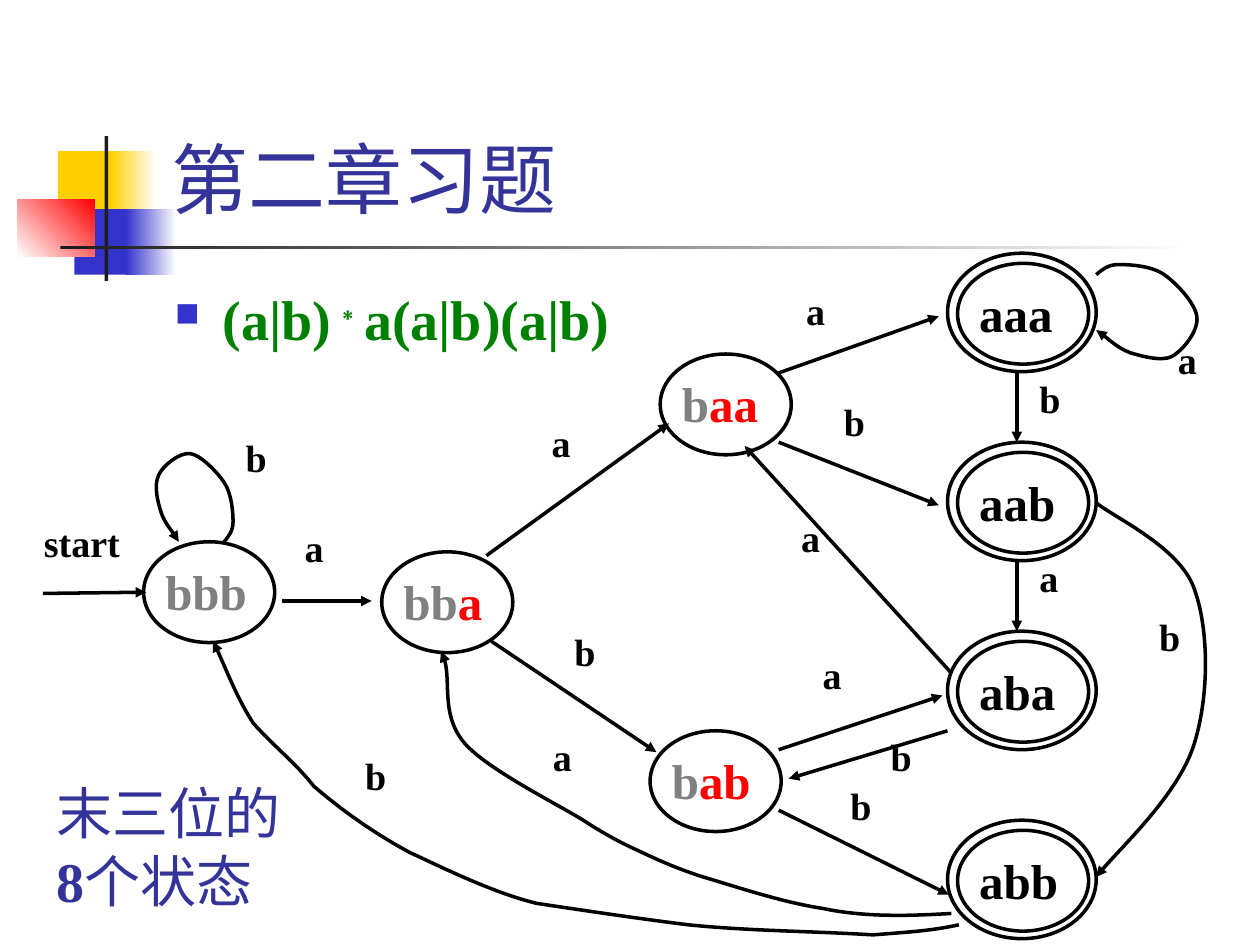
from lxml import etree
from pptx import Presentation
from pptx import util as u
from pptx.dml.color import RGBColor
from pptx.enum import shapes, text
from pptx.oxml.ns import qn

YELLOW = RGBColor(0xFF, 0xCF, 0x01)
BLUE = RGBColor(0x33, 0x33, 0xCC)
NAVY = RGBColor(0x33, 0x33, 0x99)
RED = RGBColor(0xFF, 0x00, 0x00)
GREEN = RGBColor(0x00, 0x80, 0x00)
GRAY = RGBColor(0x80, 0x80, 0x80)
DARK = RGBColor(0x1C, 0x1C, 0x1C)
BLACK = RGBColor(0, 0, 0)
WHITE = RGBColor(255, 255, 255)
SERIF = "Times New Roman"

# Plain states: text with gray history, red suffix, left, top
STATES = [("bbb", "", 1.14, 2.3), ("bb", "a", 3.03, 2.38),
          ("b", "aa", 5.24, 0.81), ("b", "ab", 5.16, 3.8)]
ACCEPTING = ["aaa", "aab", "aba", "abb"]

# Straight transitions: start, end
ARROWS = [
    ((0.34, 2.71), (1.16, 2.7)), ((2.24, 2.77), (2.95, 2.77)),
    ((3.86, 2.41), (5.31, 1.36)), ((3.9, 3.09), (5.21, 3.97)),
    ((6.18, 0.96), (7.45, 0.51)), ((6.18, 3.95), (7.48, 3.52)),
    ((6.18, 1.51), (7.45, 2.01)), ((6.18, 4.43), (7.53, 5.1)),
    ((8.07, 0.96), (8.07, 1.51)), ((8.07, 2.46), (8.07, 3.01)),
    ((7.54, 3.33), (5.91, 1.54)), ((7.52, 3.8), (6.26, 4.18)),
]

# Curved transitions: a start point, then three Bezier points per segment
CURVES = [
    # aaa to itself
    [(8.7, 0.18), (8.75, 0.14), (8.79, 0.1), (8.88, 0.1),
     (8.97, 0.1), (9.14, 0.11), (9.24, 0.18),
     (9.34, 0.25), (9.49, 0.41), (9.5, 0.52),
     (9.51, 0.63), (9.39, 0.78), (9.3, 0.83),
     (9.22, 0.87), (9.07, 0.83), (8.97, 0.8),
     (8.87, 0.76), (8.75, 0.65), (8.7, 0.62)],
    # bbb to itself
    [(1.78, 2.3), (1.81, 2.26), (1.85, 2.22), (1.85, 2.14),
     (1.85, 2.07), (1.84, 1.92), (1.78, 1.83),
     (1.72, 1.74), (1.59, 1.61), (1.51, 1.6),
     (1.42, 1.59), (1.29, 1.7), (1.26, 1.77),
     (1.22, 1.85), (1.25, 1.98), (1.28, 2.07),
     (1.31, 2.15), (1.4, 2.26), (1.42, 2.3)],
    # aab to abb
    [(8.7, 1.99), (8.83, 2.1), (9.34, 2.33), (9.47, 2.65),
     (9.6, 2.98), (9.6, 3.54), (9.47, 3.93),
     (9.34, 4.31), (8.83, 4.79), (8.7, 4.96)],
    # abb to bba
    [(7.55, 5.25), (7.21, 5.27), (6.86, 5.28), (6.53, 5.21),
     (6.2, 5.16), (5.82, 5.03), (5.58, 4.96),
     (5.33, 4.88), (5.17, 4.8), (5.02, 4.73),
     (4.89, 4.67), (4.77, 4.6), (4.66, 4.53),
     (4.5, 4.42), (3.86, 4.11), (3.68, 3.89),
     (3.5, 3.67), (3.6, 3.34), (3.5, 3.17)],
    # abb to bbb
    [(7.61, 5.34), (7.39, 5.39), (7.17, 5.4), (6.93, 5.42),
     (6.44, 5.39), (5.95, 5.39), (5.46, 5.34),
     (5.06, 5.29), (4.66, 5.23), (4.26, 5.17),
     (3.89, 5.08), (3.46, 4.86), (3.26, 4.77),
     (2.96, 4.61), (2.7, 4.42), (2.49, 4.24),
     (2.35, 4.06), (2.16, 3.91), (2.01, 3.74),
     (1.88, 3.54), (1.75, 3.2), (1.69, 3.09)],
]

# Transition labels: text, left, top, width
LABELS = [
    ("start", 0.25, 2.18, 0.98), ("a", 2.32, 2.22, 0.63), ("a", 4.28, 1.39, 0.81),
    ("b", 4.46, 3.05, 0.54), ("a", 6.3, 0.34, 0.81), ("a", 6.43, 3.23, 0.81),
    ("b", 6.6, 1.22, 0.63), ("b", 6.65, 4.27, 0.56), ("a", 9.25, 0.73, 0.39),
    ("b", 1.85, 1.51, 0.72), ("b", 8.15, 1.04, 0.55), ("a", 8.15, 2.46, 0.39),
    ("b", 9.1, 2.93, 0.55), ("a", 6.26, 2.14, 0.39), ("b", 6.97, 3.88, 0.55),
    ("a", 4.29, 3.88, 0.39), ("b", 2.8, 4.03, 0.55),
]


def inches(*lengths):
    return [u.Inches(length) for length in lengths]


def set_font(font, size, color, name=SERIF, bold=False):
    font.size, font.name, font.bold = u.Pt(size), name, bold
    font.color.rgb = color


def add_text_box(slide, left, top, width, height, anchor=text.MSO_ANCHOR.TOP):
    frame = slide.shapes.add_textbox(*inches(left, top, width, height)).text_frame
    frame.word_wrap = True
    frame.vertical_anchor = anchor
    return frame


def add_block(slide, left, top, width, height, color, end=None, angle=0):
    """Borderless rectangle, solid or fading from color to end."""
    block = slide.shapes.add_shape(shapes.MSO_SHAPE.RECTANGLE,
                                   *inches(left, top, width, height))
    block.shadow.inherit = False
    block.line.fill.background()
    if end is None:
        block.fill.solid()
        block.fill.fore_color.rgb = color
        return
    block.fill.gradient()
    block.fill.gradient_angle = angle
    for stop, stop_color, position in zip(block.fill.gradient_stops, (color, end), (0, 1)):
        stop.color.rgb = stop_color
        stop.position = position


def draw_line(shape, arrow=True):
    shape.line.color.rgb = BLACK
    shape.line.width = u.Pt(2)
    if arrow:
        etree.SubElement(shape.line._get_or_add_ln(), qn("a:tailEnd"), type="triangle")


def add_arrow(slide, start, end):
    arrow = slide.shapes.add_connector(shapes.MSO_CONNECTOR.STRAIGHT, *inches(*start, *end))
    draw_line(arrow)
    etree.SubElement(arrow._element.spPr, qn("a:effectLst"))


def add_curve(slide, points):
    start, *others = [inches(*point) for point in points]
    builder = slide.shapes.build_freeform(*start)
    builder.add_line_segments(others, close=False)
    curve = builder.convert_to_shape()
    curve.shadow.inherit = False
    curve.fill.background()
    draw_line(curve)
    # Join every three line points into one cubic Bezier segment
    lines = list(curve._element.iter(qn("a:lnTo")))
    for first in range(0, len(lines), 3):
        segment = etree.Element(qn("a:cubicBezTo"))
        lines[first].addprevious(segment)
        for line in lines[first:first + 3]:
            segment.append(line[0])
            line.getparent().remove(line)


def add_ellipse(slide, left, top, width, height, parts=()):
    ellipse = slide.shapes.add_shape(shapes.MSO_SHAPE.OVAL, *inches(left, top, width, height))
    ellipse.shadow.inherit = False
    ellipse.fill.background()
    draw_line(ellipse, arrow=False)
    frame = ellipse.text_frame
    frame.vertical_anchor = text.MSO_ANCHOR.TOP
    frame.margin_left = frame.margin_right = u.Inches(0.02)
    frame.margin_top = frame.margin_bottom = u.Inches(0.04)
    paragraph = frame.paragraphs[0]
    paragraph.alignment = text.PP_ALIGN.JUSTIFY
    for content, color in parts:
        run = paragraph.add_run()
        run.text = content
        set_font(run.font, 28, color, bold=True)


def add_header(slide, left, top):
    """Colour blocks, rules and title."""
    add_block(slide, left + 0.32, top + 0.12, 0.48, 0.52, YELLOW)
    add_block(slide, left + 0.74, top + 0.12, 0.36, 0.52, YELLOW, WHITE)
    add_block(slide, left + 0.45, top + 0.58, 0.46, 0.52, BLUE)
    add_block(slide, left + 0.86, top + 0.58, 0.4, 0.52, BLUE, WHITE)
    add_block(slide, left, top + 0.5, 0.61, 0.46, WHITE, RED, angle=45)
    add_block(slide, left + 0.69, top, 0.03, 1.15, DARK)
    add_block(slide, left + 0.34, top + 0.87, 9, 0.03, DARK, WHITE)
    frame = add_text_box(slide, left + 1.12, top - 0.85, 8.52, 1.6, text.MSO_ANCHOR.BOTTOM)
    frame.text = "第二章习题"
    set_font(frame.paragraphs[0].font, 44, NAVY, "Karla")


def add_expression(slide, left, top, width, height):
    """Bulleted regular expression."""
    paragraph = add_text_box(slide, left, top, width, height).paragraphs[0]
    properties = paragraph._p.get_or_add_pPr()
    properties.set("marL", str(u.Inches(0.38)))
    properties.set("indent", str(-u.Inches(0.38)))
    bullet_color = etree.SubElement(properties, qn("a:buClr"))
    etree.SubElement(bullet_color, qn("a:srgbClr"), val=str(BLUE))
    etree.SubElement(properties, qn("a:buSzPct"), val="60000")
    etree.SubElement(properties, qn("a:buChar"), char="■")
    for content, name in (("(a|b)", SERIF), ("∗", "Arial"), ("a(a|b)(a|b)", SERIF)):
        run = paragraph.add_run()
        run.text = content
        set_font(run.font, 32, GREEN, name, bold=True)
        if content == "∗":
            run.font._element.set("baseline", "30000")


def add_automaton(slide, left, top):
    """States, transitions and their labels."""
    def place(point):
        return left + point[0], top + point[1]

    for history, suffix, x, y in STATES:
        add_ellipse(slide, *place((x, y)), 1.04, 0.8, [(history, GRAY), (suffix, RED)][:1 + bool(suffix)])
    for row, name in enumerate(ACCEPTING):
        x, y = place((7.52, 0.01 + 1.5 * row))
        add_ellipse(slide, x + 0.08, y + 0.08, 1.04, 0.8, [(name, BLACK)])
        add_ellipse(slide, x, y, 1.18, 0.94)
    for start, end in ARROWS:
        add_arrow(slide, place(start), place(end))
    for points in CURVES:
        add_curve(slide, [place(point) for point in points])
    for content, x, y, width in LABELS:
        frame = add_text_box(slide, *place((x, y)), width, 0.45)
        frame.margin_top = u.Inches(0.01)
        frame.text = content
        paragraph = frame.paragraphs[0]
        paragraph.alignment = text.PP_ALIGN.JUSTIFY
        paragraph.line_spacing = 0.8
        set_font(paragraph.font, 21.7, BLACK, bold=True)


def add_note(slide, left, top, width, height):
    """Remark on the number of states."""
    frame = add_text_box(slide, left, top, width, height, text.MSO_ANCHOR.MIDDLE)
    first, second = frame.paragraphs[0], frame.add_paragraph()
    second.space_before = u.Pt(8)
    for paragraph, content, bold in ((first, "末三位的", False), (second, "8", True),
                                     (second, "个状态", False)):
        paragraph.line_spacing = 0.8
        run = paragraph.add_run()
        run.text = content
        set_font(run.font, 32, NAVY, bold=bold)


def main():
    presentation = Presentation()
    presentation.slide_width, presentation.slide_height = inches(10, 7.5)
    slide = presentation.slides.add_slide(presentation.slide_layouts[6])
    add_header(slide, 0.14, 1.08)
    add_expression(slide, 1.29, 2.21, 8.5, 4.5)
    add_automaton(slide, 0, 2)
    add_note(slide, 0.35, 6.35, 2.42, 0.83)
    presentation.save("out.pptx")


if __name__ == "__main__":
    main()
